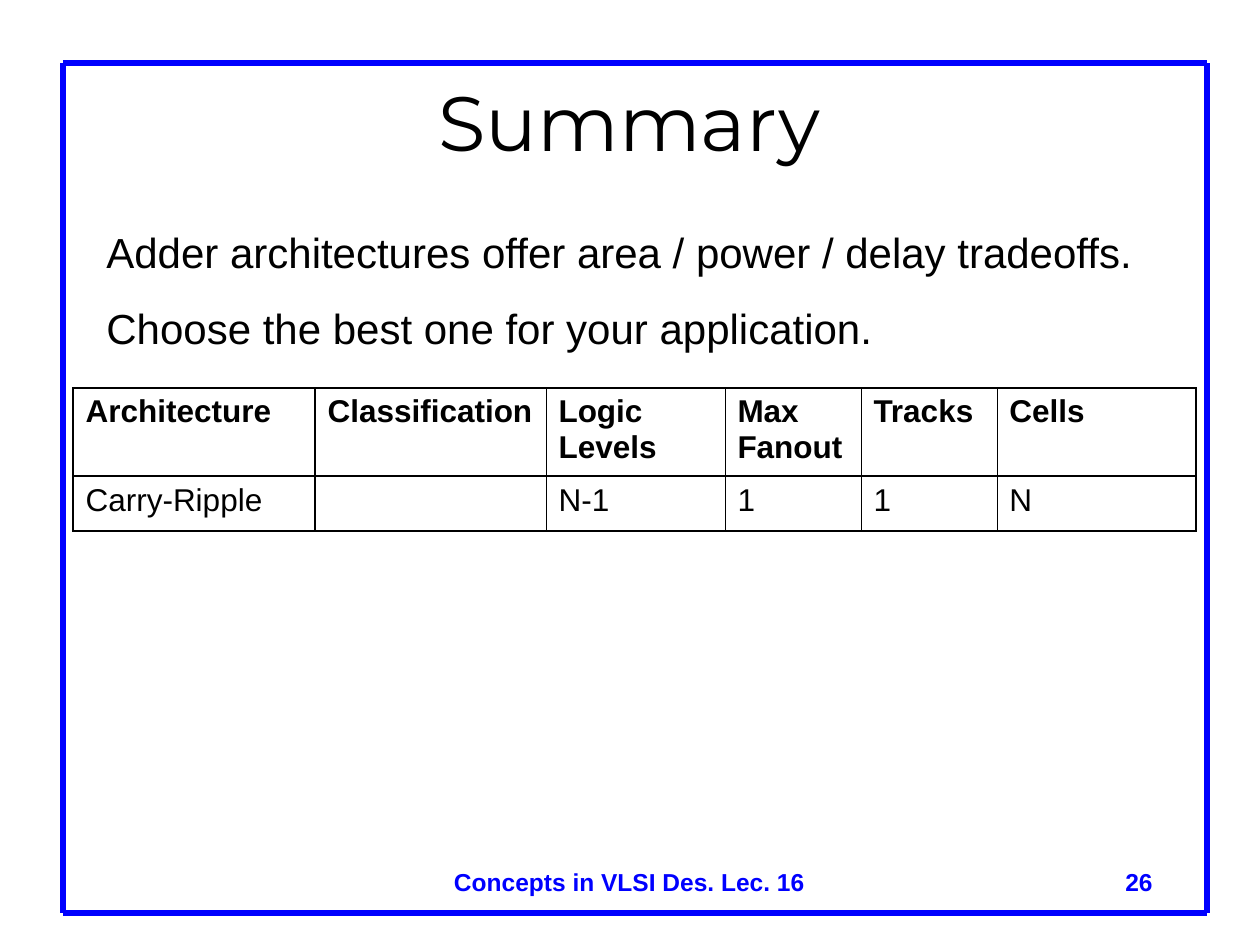
from lxml import etree
from pptx import Presentation
from pptx.dml.color import RGBColor
from pptx.enum.shapes import MSO_CONNECTOR
from pptx.enum.text import MSO_ANCHOR, PP_ALIGN
from pptx.oxml import parse_xml
from pptx.oxml.ns import qn
from pptx.util import Emu, Pt

LINE = MSO_CONNECTOR.STRAIGHT
LEFT, MID, RIGHT = PP_ALIGN.LEFT, PP_ALIGN.CENTER, PP_ALIGN.RIGHT
TOP, CENTER = MSO_ANCHOR.TOP, MSO_ANCHOR.MIDDLE
BLACK = RGBColor(0, 0, 0)
BLUE = RGBColor(0, 0, 255)
NS = "http://schemas.openxmlformats.org/drawingml/2006/main"
THIN, THICK = 0.45, 1.08

COLS = [242, 231, 179, 136, 136, 199]
ROWS = [88, 55]
CELLS = [
    ["Architecture", "Classification", "Logic Levels", "Max Fanout", "Tracks", "Cells"],
    ["Carry-Ripple", "", "N-1", "1", "1", "N"],
]


def px(n):
    return Emu(round(n * 914400 / 126))


def style(para, size, color=BLACK, bold=False, face="Arial"):
    # An empty paragraph has no run, so its own font sets the line height
    for part in para.runs or [para]:
        font = part.font
        font.name, font.size, font.bold = face, Pt(size), bold
        font.color.rgb = color


def add_text(slide, box, text, size, align=LEFT, anchor=TOP, gap=0, **look):
    frame = slide.shapes.add_textbox(*map(px, box)).text_frame
    frame.word_wrap = True
    frame.vertical_anchor = anchor
    frame.text = text
    for para in frame.paragraphs:
        para.alignment = align
        para.space_before = Pt(gap)
        style(para, size, **look)


def add_frame(slide, box):
    x, y, w, h = box
    right, low = x + w, y + h
    sides = [(x, y, x, low), (x, y, right, y),
             (right, y, right, low), (x, low, right, low)]
    for ends in sides:
        side = slide.shapes.add_connector(LINE, *map(px, ends))
        side.line.color.rgb = BLUE
        side.line.width = Pt(3)
        etree.SubElement(side._element.spPr, qn("a:effectLst"))


def add_edges(cell, widths):
    props = cell._tc.get_or_add_tcPr()
    for spot, (tag, width) in enumerate(widths.items()):
        props.insert(spot, parse_xml(
            f'<a:{tag} xmlns:a="{NS}" w="{Pt(width)}"><a:solidFill>'
            f'<a:srgbClr val="{BLACK}"/></a:solidFill></a:{tag}>'))


def add_grid(slide, x, y):
    box = map(px, (x, y, sum(COLS), sum(ROWS)))
    table = slide.shapes.add_table(len(ROWS), len(COLS), *box).table
    table.first_row = table.horz_banding = False
    for col, width in zip(table.columns, COLS):
        col.width = px(width)
    last = len(COLS) - 1
    for r, texts in enumerate(CELLS):
        table.rows[r].height = px(ROWS[r])
        for c, text in enumerate(texts):
            cell = table.cell(r, c)
            cell.text = text
            cell.fill.background()
            para = cell.text_frame.paragraphs[0]
            para.space_before = Pt(4.5)
            style(para, 18, bold=r == 0)
            add_edges(cell, {
                "lnL": THICK if c < 2 else THIN,
                "lnR": THICK if c in (0, last) else THIN,
                "lnT": THICK,
                "lnB": THICK,
            })


def add_foot(slide, box):
    x, y, w, h = box
    num = 262
    add_text(slide, box, "Concepts in VLSI Des. Lec. 16", 14, MID,
             color=BLUE, bold=True)
    add_text(slide, (x + w - num, y, num, h), "26", 14, RIGHT,
             color=BLUE, bold=True)


def main():
    deck = Presentation()
    deck.slide_width, deck.slide_height = px(1260), px(945)
    slide = deck.slides.add_slide(deck.slide_layouts[6])

    # Border and title
    add_frame(slide, (63, 63, 1144, 850))
    add_text(slide, (94, 73, 1071, 95), "Summary", 44, MID, CENTER,
             face="Montserrat")

    # Table and body
    add_grid(slide, 73, 388)
    add_text(slide, (94, 220, 1071, 140),
             "Adder architectures offer area / power / delay tradeoffs.\n"
             "Choose the best one for your application.", 24, gap=15)

    # Footer and page number
    add_foot(slide, (94, 861, 1071, 63))
    deck.save("out.pptx")


if __name__ == "__main__":
    main()
